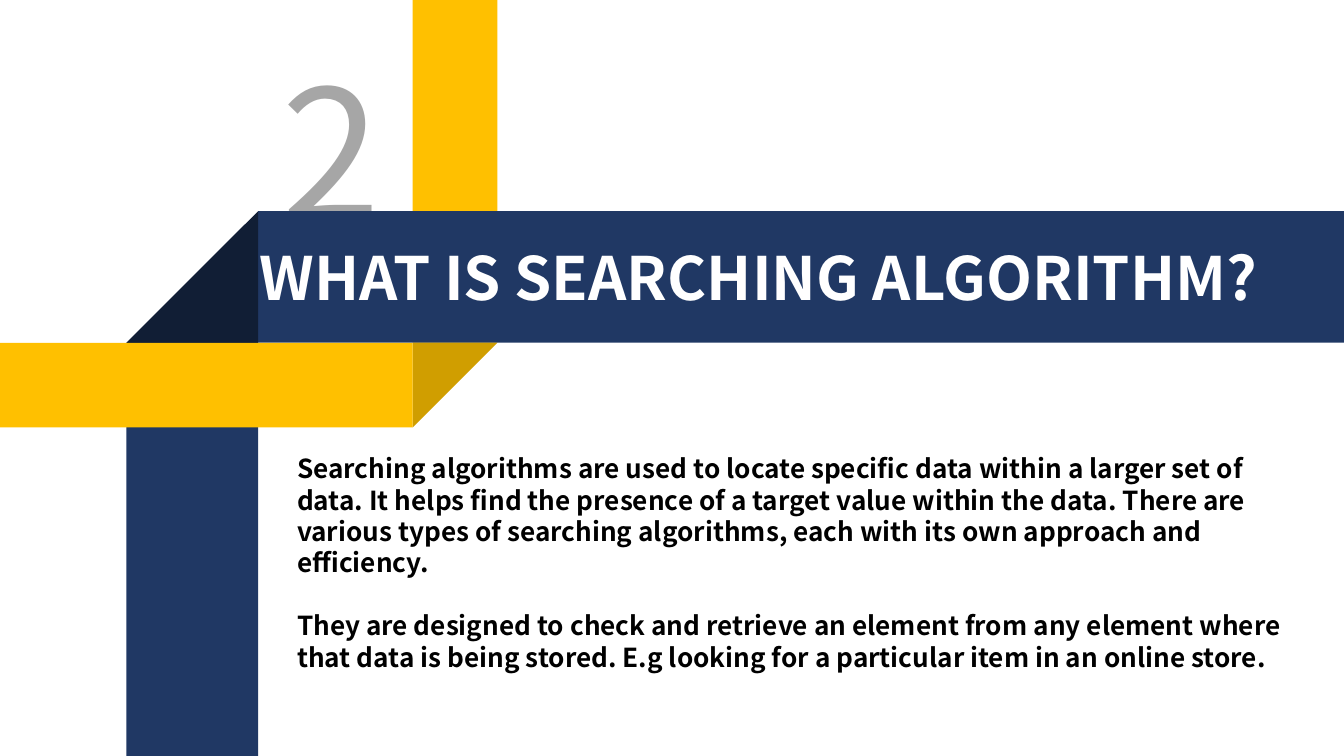
from dataclasses import dataclass

import lxml.etree
import pptx
import pptx.dml.color
import pptx.enum.shapes
import pptx.enum.text
import pptx.oxml.ns
import pptx.util

Cm = pptx.util.Cm
Pt = pptx.util.Pt
RGBColor = pptx.dml.color.RGBColor
Preset = pptx.enum.shapes.MSO_SHAPE

NAVY = RGBColor(0x20, 0x38, 0x64)
DARK_NAVY = RGBColor(0x11, 0x1E, 0x35)
GOLD = RGBColor(0xFF, 0xC0, 0x00)
DARK_GOLD = RGBColor(0xD0, 0x9E, 0x00)
GREY = RGBColor(0xA6, 0xA6, 0xA6)
WHITE = RGBColor(0xFF, 0xFF, 0xFF)
BLACK = RGBColor(0, 0, 0)
FONT = "Noto Sans CJK SC"

# Ribbon geometry in centimetres
SLIDE_W, SLIDE_H = 25.4, 14.29
NAVY_X, NAVY_W = 2.39, 2.49
GOLD_X, GOLD_W = 7.8, 1.6
FOLD_Y = 6.48
NAVY_RIGHT = NAVY_X + NAVY_W
BANNER_Y = FOLD_Y - NAVY_W

SECTION_NUMBER = "2"
TITLE = "WHAT IS SEARCHING ALGORITHM?"
EXPLANATION = (
    "Searching algorithms are used to locate specific data within a larger set "
    "of data. It helps find the presence of a target value within the data. "
    "There are various types of searching algorithms, each with its own "
    "approach and efficiency.",
    "They are designed to check and retrieve an element from any element where "
    "that data is being stored. E.g looking for a particular item in an online "
    "store.",
)


@dataclass(frozen=True)
class Box:
    left: float
    top: float
    width: float
    height: float

    def lengths(self) -> tuple:
        return Cm(self.left), Cm(self.top), Cm(self.width), Cm(self.height)


@dataclass(frozen=True)
class RibbonPart:
    box: Box
    color: RGBColor
    preset: int = Preset.RECTANGLE
    rotation: int = 0


GOLD_UPRIGHT = RibbonPart(Box(GOLD_X, 0, GOLD_W, FOLD_Y), GOLD)
FRONT_PARTS = (
    RibbonPart(Box(NAVY_X, FOLD_Y, NAVY_W, SLIDE_H - FOLD_Y), NAVY),
    RibbonPart(Box(NAVY_RIGHT, BANNER_Y, SLIDE_W - NAVY_RIGHT, NAVY_W), NAVY),
    RibbonPart(Box(NAVY_X, BANNER_Y, NAVY_W, NAVY_W), DARK_NAVY,
               Preset.RIGHT_TRIANGLE, 270),
    RibbonPart(Box(GOLD_X, FOLD_Y, GOLD_W, GOLD_W), DARK_GOLD,
               Preset.RIGHT_TRIANGLE, 90),
    RibbonPart(Box(0, FOLD_Y, GOLD_X, GOLD_W), GOLD),
)


def draw_ribbon_part(slide, part: RibbonPart) -> None:
    shape = slide.shapes.add_shape(part.preset, *part.box.lengths())
    shape.rotation = part.rotation
    shape.shadow.inherit = False
    shape.fill.solid()
    shape.fill.fore_color.rgb = part.color
    shape.line.fill.background()


def write_text(shape, text: str, size: int, color: RGBColor,
               bold: bool = False, wrap: bool = True) -> None:
    frame = shape.text_frame
    frame.text = text
    frame.word_wrap = wrap
    frame.auto_size = pptx.enum.text.MSO_AUTO_SIZE.NONE
    frame.vertical_anchor = pptx.enum.text.MSO_ANCHOR.TOP
    for paragraph in frame.paragraphs:
        paragraph.alignment = pptx.enum.text.PP_ALIGN.LEFT
        paragraph.space_before = Pt(0)
        for run in paragraph.runs:
            run.font.name = FONT
            run.font.size = Pt(size)
            run.font.bold = bold
            run.font.color.rgb = color


def bring_to_front(shape, box: Box) -> None:
    shape.left, shape.top, shape.width, shape.height = box.lengths()
    shape.element.getparent().append(shape.element)


def remove_bullet(paragraph) -> None:
    properties = paragraph._p.get_or_add_pPr()
    properties.set("marL", "0")
    properties.set("indent", "0")
    lxml.etree.SubElement(properties, pptx.oxml.ns.qn("a:buNone"))


def main() -> None:
    deck = pptx.Presentation()
    deck.slide_width, deck.slide_height = Cm(SLIDE_W), Cm(SLIDE_H)
    slide = deck.slides.add_slide(deck.slide_layouts[1])

    draw_ribbon_part(slide, GOLD_UPRIGHT)
    section_number = slide.shapes.add_textbox(*Box(5.08, 0.64, 2.51, 4.37).lengths())
    write_text(section_number, SECTION_NUMBER, 96, GREY, wrap=False)
    for part in FRONT_PARTS:
        draw_ribbon_part(slide, part)

    title = slide.shapes.title
    bring_to_front(title, Box(4.65, 4.42, 20.75, 1.63))
    write_text(title, TITLE, 32, WHITE, bold=True)

    explanation = slide.placeholders[1]
    bring_to_front(explanation, Box(5.36, 8.43, 19.15, 3.84))
    write_text(explanation, "\n".join(EXPLANATION), 14, BLACK, bold=True)
    explanation.text_frame.paragraphs[1].space_before = Pt(16.8)
    for paragraph in explanation.text_frame.paragraphs:
        remove_bullet(paragraph)

    deck.save("out.pptx")


if __name__ == "__main__":
    main()
